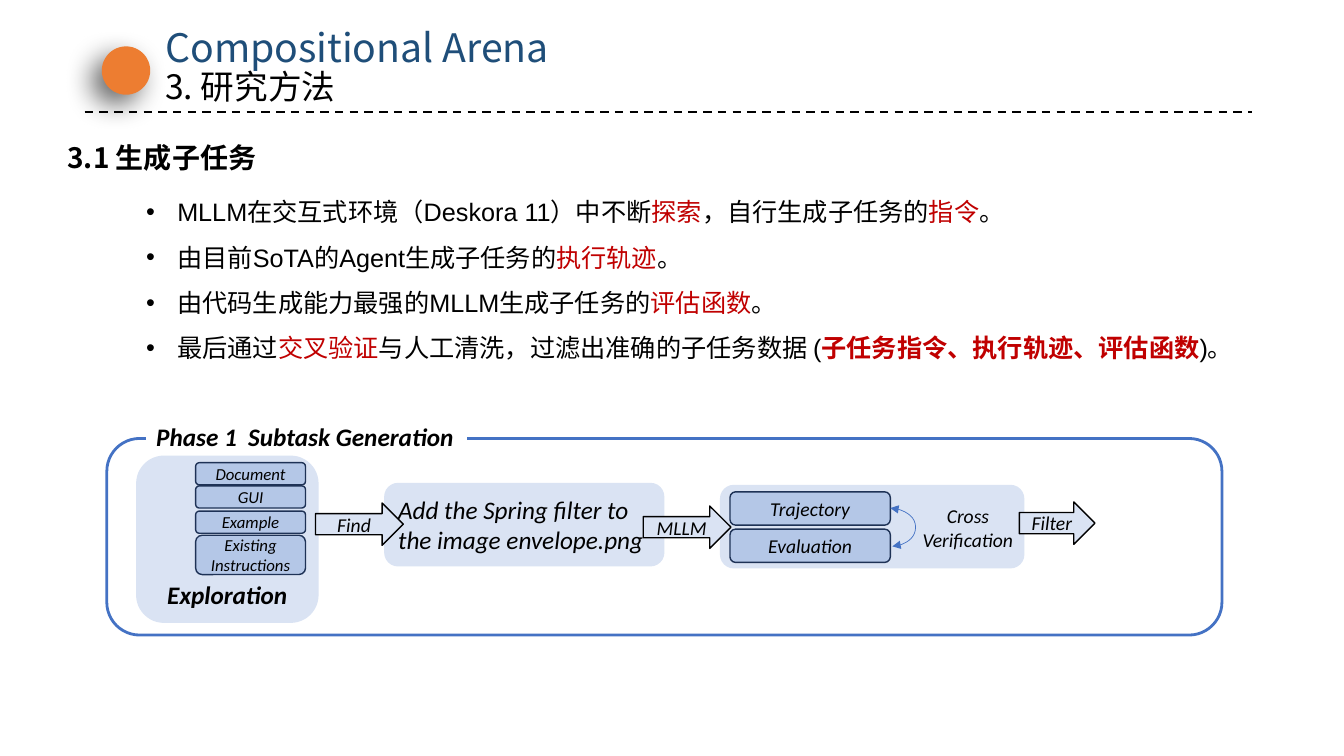
from lxml import etree
from pptx import Presentation
from pptx.dml.color import RGBColor
from pptx.enum import dml, shapes, text
from pptx.oxml import ns
from pptx.util import Inches, Pt

COLORS = {"black": "000000", "white": "FFFFFF", "red": "C00000", "title": "1F4E79",
          "blue": "4472C4", "navy": "1E3256", "panel": "DAE3F3", "chip": "B4C7E7",
          "orange": "ED7D31"}
CJK = "Noto Sans CJK SC"

TITLE = [("Compositional Arena", 28, "title"), ("3. 研究方法", 24, "black")]
HEADING = "3.1 生成子任务"
# Each bullet alternates plain and highlighted text
BULLETS = [
    ["MLLM在交互式环境（Deskora 11）中不断", "探索", "，自行生成子任务的", "指令", "。"],
    ["由目前SoTA的Agent生成子任务的", "执行轨迹", "。"],
    ["由代码生成能力最强的MLLM生成子任务的", "评估函数", "。"],
    ["最后通过", "交叉验证", "与人工清洗，过滤出准确的子任务数据 (",
     "子任务指令、执行轨迹、评估函数", ")。"],
]
BOLD_TERM = "子任务指令、执行轨迹、评估函数"
PHASE = "Phase 1  Subtask Generation"
TASK = "Add the Spring filter to the image envelope.png"
SOURCES = [("Document", 4.59, 0.22), ("GUI", 4.82, 0.22), ("Example", 5.07, 0.22),
           ("Existing Instructions", 5.31, 0.39)]
CHECKS = ["Trajectory", "Evaluation"]
ARROWS = [("Find", 3.13, 4.99, 0.87), ("MLLM", 6.38, 5.02, 0.87), ("Filter", 10.11, 4.98, 0.75)]

prs = Presentation()
prs.slide_width, prs.slide_height = Inches(13.33), Inches(7.5)
s = prs.slides.add_slide(prs.slide_layouts[5])
MSO, ALIGN, ANCHOR = shapes.MSO_SHAPE, text.PP_ALIGN, text.MSO_ANCHOR


def rgb(name):
    return RGBColor.from_string(COLORS[name])


def inches(*values):
    return [Inches(v) for v in values]


def sub(parent, tag, **attrs):
    return etree.SubElement(parent, ns.qn(tag), attrs)


def style(r, size, color="black", font="Calibri", bold=False, italic=False):
    f = r.font
    f.size, f.name, f.bold, f.italic = Pt(size), font, bold, italic
    f.color.rgb = rgb(color)
    sub(r._r.get_or_add_rPr(), "a:ea", typeface=CJK)


def write(sp, lines, size, align=ALIGN.CENTER, anchor=ANCHOR.MIDDLE, **look):
    tf = sp.text_frame
    tf.word_wrap, tf.vertical_anchor = True, anchor
    tf.text = lines
    for p in tf.paragraphs:
        p.alignment = align
        style(p.runs[0], size, **look)


def box(kind, at, fill, line=None, width=1):
    sp = s.shapes.add_shape(kind, *inches(*at))
    sp.shadow.inherit = False
    sp.fill.solid()
    sp.fill.fore_color.rgb = rgb(fill)
    if line:
        sp.line.color.rgb = rgb(line)
        sp.line.width = Pt(width)
    else:
        sp.line.fill.background()
    return sp


def connect(kind, ends, color, width):
    cx = s.shapes.add_connector(kind, *inches(*ends))
    cx.line.color.rgb = rgb(color)
    cx.line.width = Pt(width)
    return cx


# Title with dashed rule and dot
title = s.shapes.title
title.left, title.top, title.width, title.height = inches(1.64, 0.23, 5.89, 0.88)
tf = title.text_frame
tf.margin_left = tf.margin_right = tf.margin_top = tf.margin_bottom = 0
tf.word_wrap, tf.vertical_anchor = True, ANCHOR.MIDDLE
tf.auto_size = text.MSO_AUTO_SIZE.NONE
tf.text = "\n".join(line for line, _, _ in TITLE)
for p, (_, size, color) in zip(tf.paragraphs, TITLE):
    p.alignment, p.line_spacing = ALIGN.LEFT, 0.9
    style(p.runs[0], size, color, CJK)

rule = connect(shapes.MSO_CONNECTOR.STRAIGHT, (0.84, 1.11, 12.42, 1.11), "black", 1.5)
rule.line.dash_style = dml.MSO_LINE.DASH
sub(rule._element.spPr, "a:effectLst")

dot = box(MSO.OVAL, (1.01, 0.46, 0.48, 0.48), "orange")
effects = dot._element.spPr.find(ns.qn("a:effectLst"))
shadow = sub(effects, "a:outerShdw", blurRad=str(Pt(20)), dist=str(Pt(10)),
             dir=str(135 * 60000), algn="ctr", rotWithShape="0")
sub(sub(shadow, "a:srgbClr", val=COLORS["black"]), "a:alpha", val="60000")

# Section heading and bullets
heading = s.shapes.add_textbox(*inches(0.57, 1.2, 11.03, 0.55))
write(heading, HEADING, 20, ALIGN.LEFT, font=CJK, bold=True)
heading.text_frame.paragraphs[0].line_spacing = 1.5

tf = s.shapes.add_textbox(*inches(1.35, 1.75, 11.15, 1.87)).text_frame
tf.word_wrap = True
for i, parts in enumerate(BULLETS):
    p = tf.paragraphs[0] if i == 0 else tf.add_paragraph()
    pPr = p._p.get_or_add_pPr()
    pPr.set("marL", str(Inches(0.31)))
    pPr.set("indent", str(-Inches(0.31)))
    sub(pPr, "a:buFont", typeface="Arial")
    sub(pPr, "a:buChar", char="•")
    p.line_spacing = 1.5
    for j, part in enumerate(parts):
        r = p.add_run()
        r.text = part
        style(r, 18, "red" if j % 2 else "black", "Arial", bold=part == BOLD_TERM)

# Phase frame, its label covering the border
box(MSO.ROUNDED_RECTANGLE, (1.06, 4.35, 11.06, 1.95), "white", "blue", 2)
label = box(MSO.RECTANGLE, (1.45, 4.22, 3.18, 0.21), "white")
write(label, PHASE, 18, ALIGN.LEFT, bold=True, italic=True)

# Exploration panel
panel = box(MSO.ROUNDED_RECTANGLE, (1.35, 4.52, 1.81, 1.66), "panel")
write(panel, "Exploration", 18, anchor=ANCHOR.BOTTOM, bold=True, italic=True)
for name, top, height in SOURCES:
    chip = box(MSO.ROUNDED_RECTANGLE, (1.94, top, 1.09, height), "chip", "navy")
    write(chip, name, 12, italic=True)

# Task panel
task = box(MSO.ROUNDED_RECTANGLE, (3.81, 4.79, 2.78, 0.83), "panel")
write(task, TASK, 18, ALIGN.LEFT, italic=True)

# Cross verification panel
box(MSO.ROUNDED_RECTANGLE, (7.14, 4.81, 3.02, 0.83), "panel")
for i, name in enumerate(CHECKS):
    chip = box(MSO.ROUNDED_RECTANGLE, (7.24, 4.88 + 0.37 * i, 1.59, 0.33), "chip", "navy")
    write(chip, name, 14, italic=True)
cross = s.shapes.add_textbox(*inches(8.99, 4.95, 1.22, 0.57))
write(cross, "Cross\nVerification", 14, anchor=ANCHOR.TOP, italic=True)

loop = connect(shapes.MSO_CONNECTOR.CURVE, (8.83, 5.04, 8.85, 5.42), "blue", 0.5)
spPr = loop._element.spPr
guides = spPr.find(ns.qn("a:prstGeom")).get_or_add_avLst()
sub(guides, "a:gd", name="adj1", fmla="val 1250000")
for end in ("a:headEnd", "a:tailEnd"):
    sub(loop.line._get_or_add_ln(), end, type="triangle")
sub(spPr, "a:effectLst")

# Flow arrows
for name, left, top, width in ARROWS:
    arrow = box(MSO.RIGHT_ARROW, (left, top, width, 0.42), "panel", "black")
    write(arrow, name, 14, italic=True)

prs.save("out.pptx")
